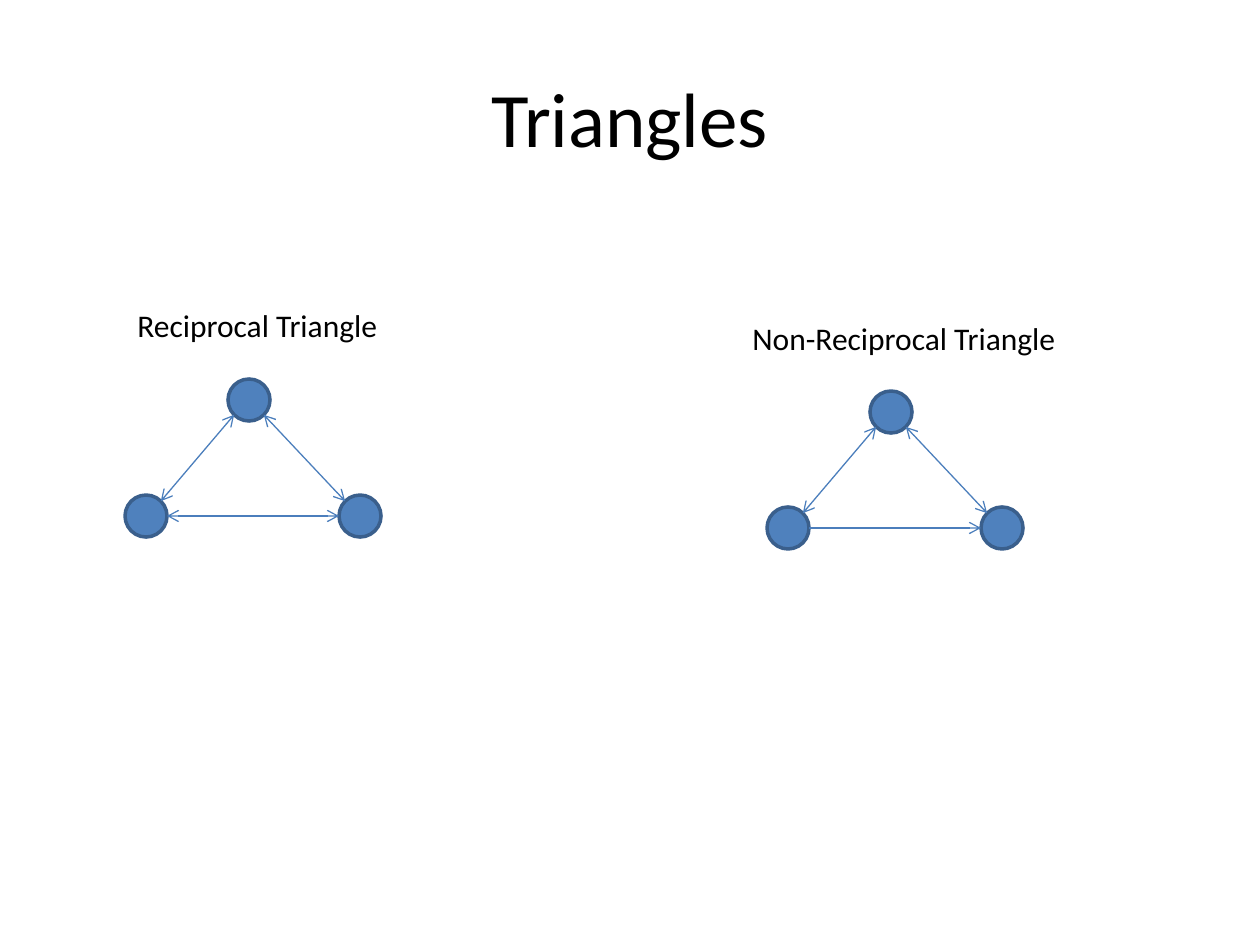
import math
from dataclasses import dataclass

import lxml.etree
import pptx
import pptx.dml.color
import pptx.enum.shapes
import pptx.enum.text
import pptx.oxml.ns
import pptx.util

PX = 914400 / 126
BLACK = pptx.dml.color.RGBColor(0x00, 0x00, 0x00)
NODE_FILL = pptx.dml.color.RGBColor(0x4F, 0x81, 0xBD)
NODE_LINE = pptx.dml.color.RGBColor(0x3A, 0x5F, 0x8C)
EDGE_LINE = pptx.dml.color.RGBColor(0x4B, 0x7E, 0xBC)
FONT = "Calibri"
NODE_SIZE = 42

# Node corners relative to the left end of a triangle and its top
LEFT, TOP, RIGHT = (0, 116), (103, 0), (214, 116)


@dataclass(frozen=True)
class Box:
    x: int
    y: int
    w: int
    h: int


@dataclass(frozen=True)
class Edge:
    """Line between two nodes; angles (degrees, clockwise) tell where it meets each rim."""
    start: tuple[int, int]
    start_angle: int
    end: tuple[int, int]
    end_angle: int


@dataclass(frozen=True)
class Triangle:
    label: str
    label_box: Box
    x: int
    y: int
    base_two_way: bool


SIDES = (Edge(LEFT, -45, TOP, 135), Edge(TOP, 45, RIGHT, -135))
BASE = Edge(LEFT, 0, RIGHT, 180)

TRIANGLES = (
    Triangle("Reciprocal Triangle", Box(125, 300, 268, 50), 125, 379, True),
    Triangle("Non-Reciprocal Triangle", Box(740, 313, 331, 50), 767, 391, False),
)


def px(value: float) -> pptx.util.Emu:
    return pptx.util.Emu(round(value * PX))


def add_text(s, text: str, box: Box, size: int, title: bool = False) -> None:
    shape = s.shapes.add_textbox(px(box.x), px(box.y), px(box.w), px(box.h))
    tf = shape.text_frame
    tf.word_wrap = title
    p = tf.paragraphs[0]
    if title:
        tf.vertical_anchor = pptx.enum.text.MSO_ANCHOR.MIDDLE
        p.alignment = pptx.enum.text.PP_ALIGN.CENTER
    else:
        tf.auto_size = pptx.enum.text.MSO_AUTO_SIZE.SHAPE_TO_FIT_TEXT
    r = p.add_run()
    r.text = text
    r.font.name = FONT
    r.font.size = pptx.util.Pt(size)
    r.font.color.rgb = BLACK


def add_node(s, x: int, y: int) -> None:
    sp = s.shapes.add_shape(pptx.enum.shapes.MSO_SHAPE.OVAL,
                            px(x), px(y), px(NODE_SIZE), px(NODE_SIZE))
    sp.shadow.inherit = False
    sp.fill.solid()
    sp.fill.fore_color.rgb = NODE_FILL
    sp.line.color.rgb = NODE_LINE
    sp.line.width = pptx.util.Pt(2)


def rim_point(t: Triangle, node: tuple[int, int],
              angle: int) -> tuple[pptx.util.Emu, pptx.util.Emu]:
    radius = NODE_SIZE / 2
    a = math.radians(angle)
    return (px(t.x + node[0] + radius * (1 + math.cos(a))),
            px(t.y + node[1] + radius * (1 + math.sin(a))))


def add_edge(s, t: Triangle, edge: Edge, two_way: bool) -> None:
    line = s.shapes.add_connector(pptx.enum.shapes.MSO_CONNECTOR.STRAIGHT,
                                  *rim_point(t, edge.start, edge.start_angle),
                                  *rim_point(t, edge.end, edge.end_angle))
    line.line.color.rgb = EDGE_LINE
    line.line.width = pptx.util.Pt(0.75)
    qn = pptx.oxml.ns.qn
    sp_pr = line._element.spPr
    ln = sp_pr.find(qn("a:ln"))
    for tag in ("a:headEnd", "a:tailEnd") if two_way else ("a:tailEnd",):
        lxml.etree.SubElement(ln, qn(tag), type="arrow")
    lxml.etree.SubElement(sp_pr, qn("a:effectLst"))


def add_triangle(s, t: Triangle) -> None:
    for x, y in (LEFT, TOP, RIGHT):
        add_node(s, t.x + x, t.y + y)
    for side in SIDES:
        add_edge(s, t, side, True)
    add_edge(s, t, BASE, t.base_two_way)
    add_text(s, t.label, t.label_box, 18)


def main() -> None:
    prs = pptx.Presentation()
    prs.slide_width = px(1260)
    prs.slide_height = px(945)
    s = prs.slides.add_slide(prs.slide_layouts[6])
    add_text(s, "Triangles", Box(63, 38, 1134, 157), 44, title=True)
    for t in TRIANGLES:
        add_triangle(s, t)
    prs.save("out.pptx")


if __name__ == "__main__":
    main()
